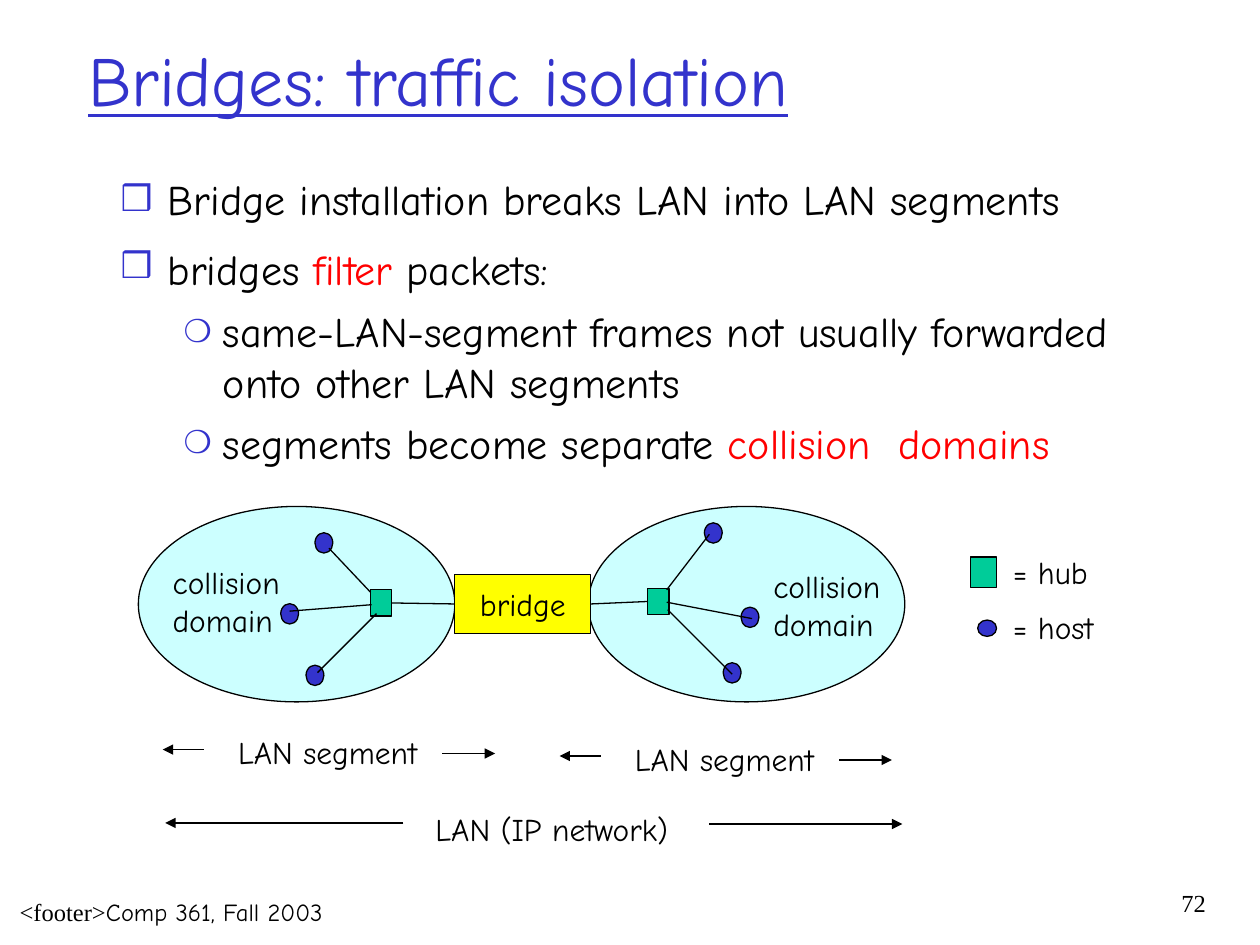
from lxml import etree
from pptx import Presentation
from pptx.dml.color import RGBColor
from pptx.enum.shapes import MSO_CONNECTOR, MSO_SHAPE
from pptx.enum.text import MSO_ANCHOR, MSO_AUTO_SIZE, PP_ALIGN
from pptx.oxml.ns import qn
from pptx.util import Cm, Pt

RECT, OVAL = MSO_SHAPE.RECTANGLE, MSO_SHAPE.OVAL
LINE = MSO_CONNECTOR.STRAIGHT
MIDDLE, TOP = MSO_ANCHOR.MIDDLE, MSO_ANCHOR.TOP
FIT, FIXED = MSO_AUTO_SIZE.SHAPE_TO_FIT_TEXT, MSO_AUTO_SIZE.NONE
LEFT, CENTER, RIGHT = PP_ALIGN.LEFT, PP_ALIGN.CENTER, PP_ALIGN.RIGHT

BLACK = RGBColor(0x00, 0x00, 0x00)
BLUE = RGBColor(0x33, 0x33, 0xCC)
RED = RGBColor(0xFF, 0x00, 0x00)
CYAN = RGBColor(0xCC, 0xFF, 0xFF)
YELLOW = RGBColor(0xFF, 0xFF, 0x00)
GREEN = RGBColor(0x00, 0xCC, 0x99)
COMIC, TIMES = "Comic Neue", "Times New Roman"


class Deck:
    def __init__(self):
        self.file = Presentation()
        self.file.slide_width, self.file.slide_height = Cm(25.4), Cm(19.05)
        self.slide = self.file.slides.add_slide(self.file.slide_layouts[1])
        self.shapes = self.slide.shapes

    def run(self, para, text, size=18, color=BLACK, font=COMIC):
        run = para.add_run()
        run.text = text
        run.font.size, run.font.name = Pt(size), font
        run.font.color.rgb = color
        return run

    def place(self, shape, x, y, w, h):
        shape.left, shape.top, shape.width, shape.height = map(Cm, (x, y, w, h))

    def title(self, text, *box):
        shape = self.shapes.title
        self.place(shape, *box)
        frame = shape.text_frame
        frame.auto_size, frame.vertical_anchor = FIXED, MIDDLE
        para = frame.paragraphs[0]
        para.alignment = LEFT
        self.run(para, text, 40, BLUE).font.underline = True

    def bullet(self, para, level):
        sign, size, left, hang = (("❒", 85, 0.95, 0.95), ("❍", 75, 2.06, 0.79))[level]
        para.level = level
        props = para._p.get_or_add_pPr()
        props.set("marL", str(Cm(left)))
        props.set("indent", str(-Cm(hang)))
        color = etree.SubElement(props, qn("a:buClr"))
        etree.SubElement(color, qn("a:srgbClr"), val=str(BLUE))
        etree.SubElement(props, qn("a:buSzPct"), val=str(size * 1000))
        etree.SubElement(props, qn("a:buChar"), char=sign)

    def body(self, items, *box):
        shape = self.slide.placeholders[1]
        self.place(shape, *box)
        frame = shape.text_frame
        frame.auto_size, frame.vertical_anchor = FIXED, TOP
        for i, (level, gap, runs) in enumerate(items):
            para = frame.add_paragraph() if i else frame.paragraphs[0]
            self.bullet(para, level)
            para.space_before = Pt(gap)
            for text, size, color in runs:
                self.run(para, text, size, color)

    def text(self, lines, x, y, w, h=1.02):
        frame = self.shapes.add_textbox(Cm(x), Cm(y), Cm(w), Cm(h)).text_frame
        frame.word_wrap, frame.auto_size = False, FIT
        for i, line in enumerate(lines):
            para = frame.add_paragraph() if i else frame.paragraphs[0]
            self.run(para, line)

    def note(self, runs, *box):
        frame = self.shapes.add_textbox(*map(Cm, box)).text_frame
        frame.word_wrap = True
        para = frame.paragraphs[0]
        para.alignment = RIGHT
        for text, font in runs:
            self.run(para, text, 14, BLACK, font)

    def shape(self, kind, fill, x, y, w, h, label=None):
        shape = self.shapes.add_shape(kind, Cm(x), Cm(y), Cm(w), Cm(h))
        shape.shadow.inherit = False
        shape.fill.solid()
        shape.fill.fore_color.rgb = fill
        shape.line.color.rgb, shape.line.width = BLACK, Pt(0.75)
        if label:
            frame = shape.text_frame
            frame.word_wrap, frame.vertical_anchor = False, MIDDLE
            frame.paragraphs[0].alignment = CENTER
            self.run(frame.paragraphs[0], label)
        return shape

    def hub(self, x, y):
        return self.shape(RECT, GREEN, x, y, 0.43, 0.53)

    def host(self, x, y):
        self.shape(OVAL, BLUE, x, y, 0.36, 0.41)

    def line(self, x1=0, y1=0, x2=0, y2=0, arrow=False):
        line = self.shapes.add_connector(LINE, Cm(x1), Cm(y1), Cm(x2), Cm(y2))
        line.line.color.rgb, line.line.width = BLACK, Pt(0.75)
        if arrow:
            etree.SubElement(line.line._get_or_add_ln(), qn("a:tailEnd"), type="triangle")
        etree.SubElement(line._element.spPr, qn("a:effectLst"))
        return line

    def join(self, start, end):
        line = self.line()
        line.begin_connect(start, 3)
        line.end_connect(end, 1)


def main():
    deck = Deck()
    deck.note([("<footer>", TIMES), ("Comp 361, Fall 2003", COMIC)], -1.5, 17.96, 8.26, 1.9)
    deck.title("Bridges: traffic isolation", 1.52, 0, 21.59, 3.18)
    deck.body([
        (0, 0, [("Bridge installation breaks LAN into LAN segments", 24, BLACK)]),
        (0, 7, [("bridges ", 24, BLACK), ("filter", 24, RED),
                (" packets:", 24, BLACK), (" ", 28, BLACK)]),
        (1, 6, [("same-LAN-segment frames not usually forwarded "
                 "onto other LAN segments", 24, BLACK)]),
        (1, 6, [("segments become separate ", 24, BLACK),
                ("collision  domains", 24, RED)]),
    ], 2.18, 3.38, 21.89, 6.53)

    for x in (2.79, 11.86):
        deck.shape(OVAL, CYAN, x, 10.21, 6.38, 3.94)
    bridge = deck.shape(RECT, YELLOW, 9.17, 11.58, 2.74, 1.19, "bridge")
    west, east = deck.hub(7.47, 11.89), deck.hub(13.06, 11.86)
    for x, y in ((6.35, 10.74), (5.66, 12.17), (6.17, 13.41),
                 (14.2, 10.54), (14.94, 12.24), (14.58, 13.36)):
        deck.host(x, y)
    deck.join(west, bridge)
    deck.join(bridge, east)
    for ends in ((7.47, 11.94, 6.63, 11.05), (7.49, 12.19, 5.84, 12.32),
                 (7.59, 12.37, 6.4, 13.56), (13.44, 11.89, 14.3, 10.77),
                 (13.44, 12.14, 15.16, 12.47), (13.46, 12.29, 14.76, 13.59)):
        deck.line(*ends)
    for x, y in ((15.34, 11.3), (3.23, 11.23)):
        deck.text(["collision", "domain"], x, y, 2.87, 1.78)

    deck.shape(RECT, GREEN, 19.56, 11.23, 0.53, 0.61)
    deck.shape(OVAL, BLUE, 19.71, 12.5, 0.38, 0.33)
    deck.text(["= hub"], 20.17, 11.02, 2.01)
    deck.text(["= host"], 20.17, 12.14, 2.13)

    deck.text(["LAN (IP network)"], 8.53, 16.21, 5.21)
    deck.line(8.13, 16.59, 3.33, 16.59, True)
    deck.line(14.3, 16.61, 18.19, 16.61, True)
    for dx, dy in ((0, 0), (8, 0.13)):
        deck.text(["LAN segment"], 4.55 + dx, 14.66 + dy, 4.11)
        deck.line(8.92 + dx, 15.19 + dy, 9.98 + dx, 15.19 + dy, True)
        deck.line(4.11 + dx, 15.11 + dy, 3.28 + dx, 15.11 + dy, True)
    deck.note([("72", TIMES)], 22.68, 17.78, 1.88, 1.27)
    deck.file.save("out.pptx")


if __name__ == "__main__":
    main()
